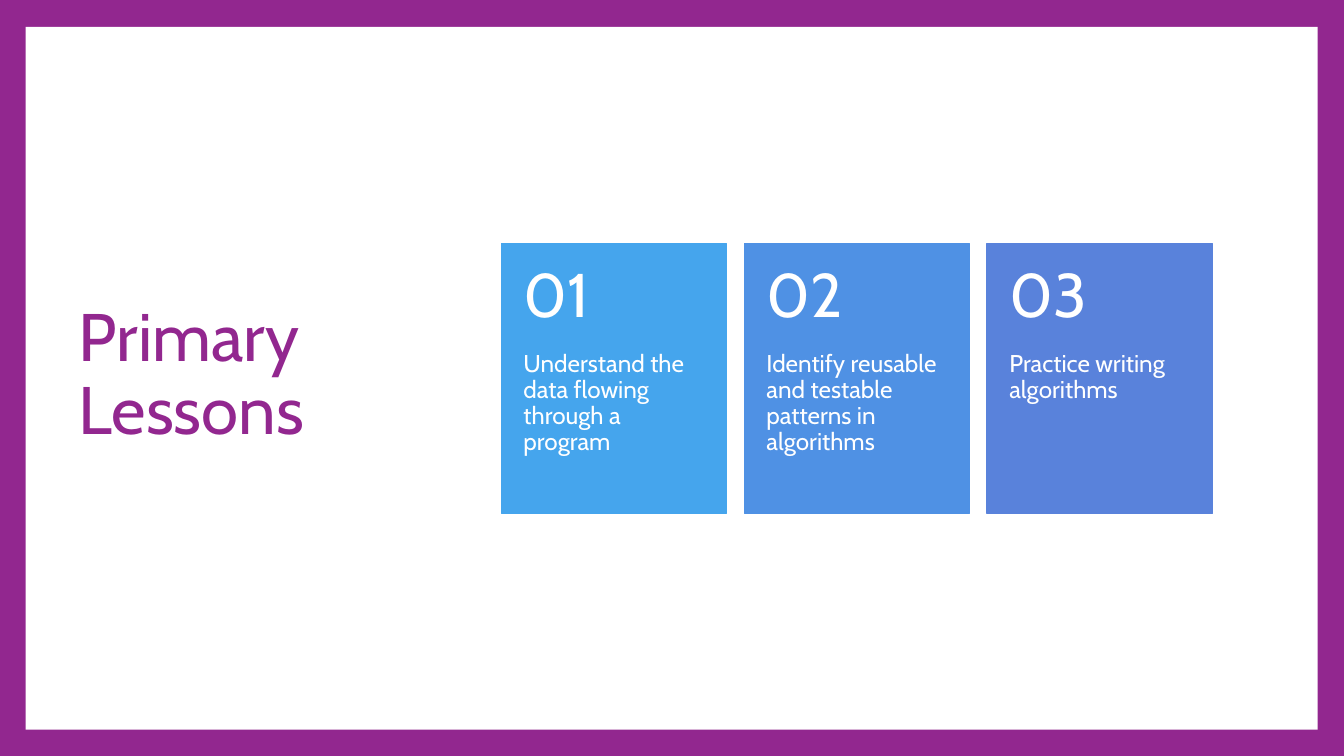
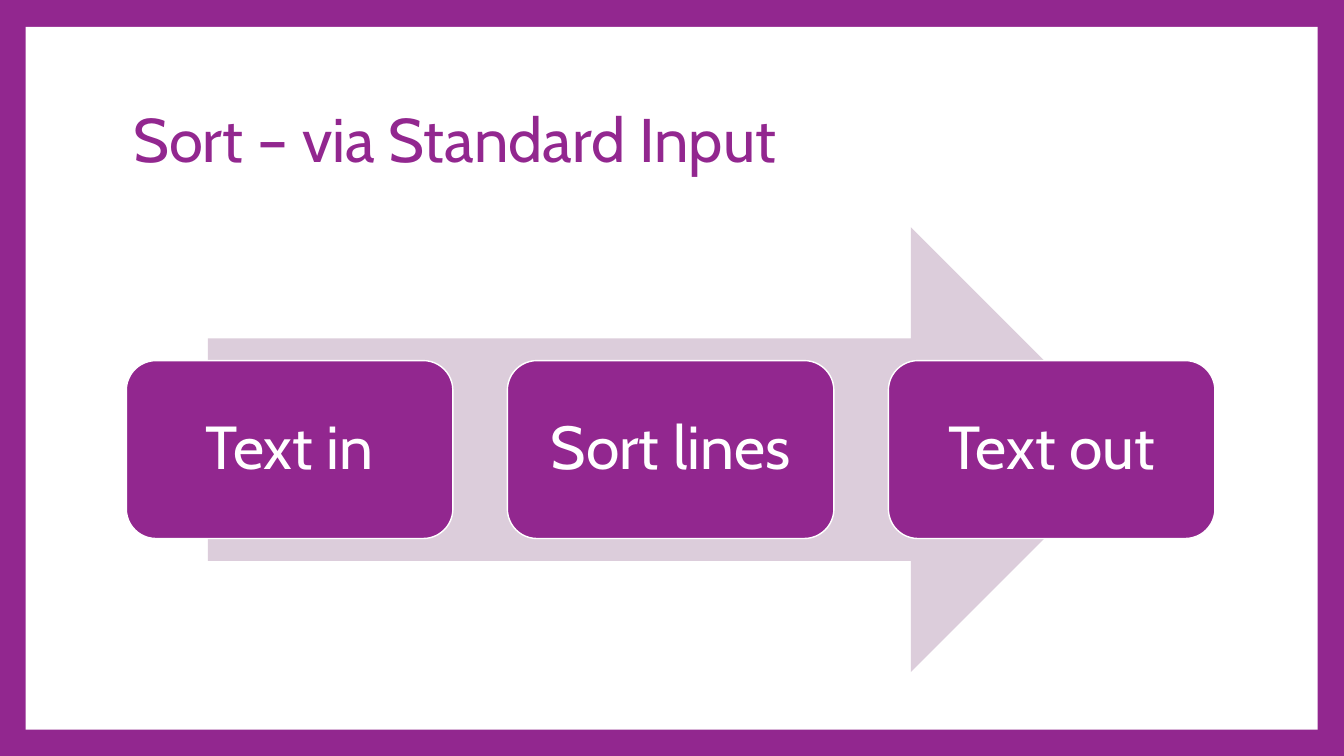
import pptx
import pptx.util
import pptx.dml.color
import pptx.enum.shapes
import pptx.enum.text

Inches = pptx.util.Inches
Pt = pptx.util.Pt
RGBColor = pptx.dml.color.RGBColor
Shape = pptx.enum.shapes.MSO_SHAPE
Align = pptx.enum.text.PP_ALIGN
Anchor = pptx.enum.text.MSO_ANCHOR
Fit = pptx.enum.text.MSO_AUTO_SIZE

PURPLE = RGBColor(0x92, 0x27, 0x8F)
WHITE = RGBColor(0xFF, 0xFF, 0xFF)
MAUVE = RGBColor(0xDC, 0xCD, 0xDB)
SKY = RGBColor(0x45, 0xA5, 0xED)
BLUE = RGBColor(0x4F, 0x91, 0xE4)
INDIGO = RGBColor(0x59, 0x82, 0xDB)
FONT = "Cabin"


def add_block(slide, kind, box, fill, line=None):
    block = slide.shapes.add_shape(kind, *map(Inches, box))
    block.shadow.inherit = False
    block.fill.solid()
    block.fill.fore_color.rgb = fill
    if line is None:
        block.line.fill.background()
    else:
        block.line.color.rgb = line
        block.line.width = Pt(1.5)
    return block


def set_text(shape, text, size, color=WHITE, align=Align.LEFT,
             anchor=Anchor.MIDDLE, pads=(0.1, 0.05, 0.1, 0.05)):
    frame = shape.text_frame
    frame.text = text
    frame.word_wrap = True
    frame.auto_size = Fit.NONE
    frame.vertical_anchor = anchor
    (frame.margin_left, frame.margin_top,
     frame.margin_right, frame.margin_bottom) = map(Inches, pads)
    para = frame.paragraphs[0]
    para.alignment = align
    para.line_spacing = 0.9
    para.font.name = FONT
    para.font.size = Pt(size)
    para.font.color.rgb = color


def set_title(slide, box, text, size):
    title = slide.shapes.title
    title.left, title.top, title.width, title.height = map(Inches, box)
    set_text(title, text, size, PURPLE)


def add_frame(deck, layout, slide):
    back = deck.slide_master.background.fill
    back.solid()
    back.fore_color.rgb = PURPLE
    panel = add_block(slide, Shape.RECTANGLE, (0.38, 0.4, 19.23, 10.46), WHITE)
    layout.shapes.element.insert(2, panel.element)


def add_card(slide, box, number, text, color):
    left, top, width, height = box
    head = height * 0.4
    add_block(slide, Shape.RECTANGLE, box, color, color)
    label = slide.shapes.add_textbox(*map(Inches, (left, top, width, head)))
    set_text(label, f"{number:02}", 66, pads=(0.33, 0.18, 0.33, 0.18))
    body = slide.shapes.add_textbox(
        *map(Inches, (left, top + head, width, height - head)))
    set_text(body, text, 26, anchor=Anchor.TOP, pads=(0.33, 0, 0.33, 0.36))


def add_cards(slide, box, cards):
    left, top, width, height = box
    side = 3.35
    pitch = (width - side) / (len(cards) - 1)
    for i, (text, color) in enumerate(cards):
        add_card(slide, (left + i * pitch, top, side, height),
                 i + 1, text, color)


def add_flow(slide, box, steps):
    left, top, width, height = box
    add_block(slide, Shape.RIGHT_ARROW,
              (left + width * 0.075, top, width * 0.85, height), MAUVE)
    for i, text in enumerate(steps):
        step = add_block(slide, Shape.ROUNDED_RECTANGLE,
                         (left + i * width * 0.35, top + height * 0.3,
                          width * 0.3, height * 0.4), PURPLE, WHITE)
        set_text(step, text, 65, align=Align.CENTER, pads=(0.27,) * 4)


def main():
    deck = pptx.Presentation()
    deck.slide_width = Inches(20)
    deck.slide_height = Inches(11.25)
    layout = deck.slide_layouts[5]

    goals = deck.slides.add_slide(layout)
    add_frame(deck, layout, goals)
    set_title(goals, (1.07, 1, 5.52, 9.2), "Primary Lessons", 72)
    add_cards(goals, (7.46, 3.62, 10.58, 4.02), [
        ("Understand the data flowing through a program", SKY),
        ("Identify reusable and testable patterns in algorithms", BLUE),
        ("Practice writing algorithms", INDIGO),
    ])

    sort = deck.slides.add_slide(layout)
    set_title(sort, (1.88, 1, 16.2, 2.23), "Sort – via Standard Input", 66)
    add_flow(sort, (1.88, 3.38, 16.2, 6.62),
             ["Text in", "Sort lines", "Text out"])

    deck.save("out.pptx")


if __name__ == "__main__":
    main()
